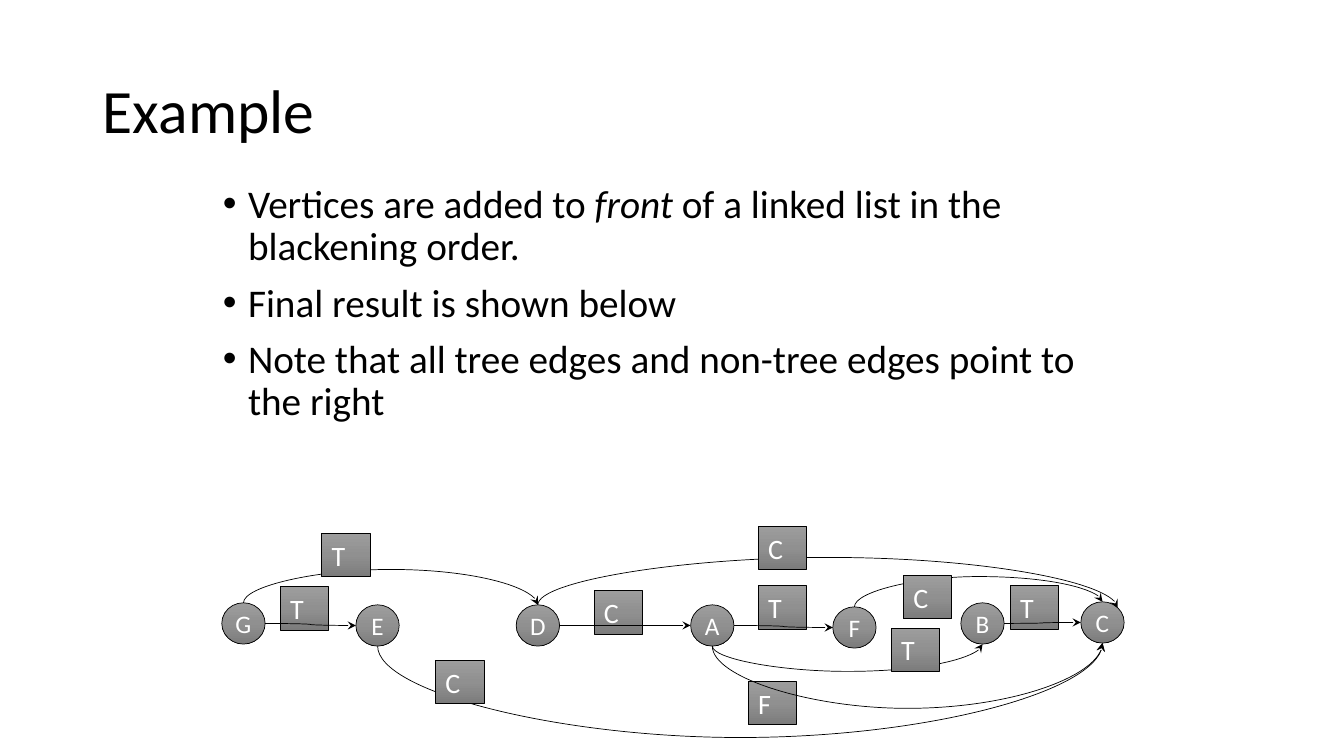
from lxml import etree
from pptx import Presentation
from pptx.dml.color import RGBColor
from pptx.enum.shapes import MSO_CONNECTOR, MSO_SHAPE
from pptx.enum.text import MSO_ANCHOR, MSO_AUTO_SIZE, PP_ALIGN
from pptx.oxml.ns import qn
from pptx.util import Inches, Pt

CURVE = MSO_CONNECTOR.CURVE
OVAL, RECTANGLE = MSO_SHAPE.OVAL, MSO_SHAPE.RECTANGLE
MIDDLE, TOP = MSO_ANCHOR.MIDDLE, MSO_ANCHOR.TOP
LEFT, CENTER = PP_ALIGN.LEFT, PP_ALIGN.CENTER
FIT_SHAPE, NO_FIT = MSO_AUTO_SIZE.SHAPE_TO_FIT_TEXT, MSO_AUTO_SIZE.NONE

COLORS = {"text": "000000", "line": "000000", "node_text": "FFFFFF",
          "light": "9D9D9D", "mid": "909090", "dark": "7C7C7C"}
NODE_W, NODE_H = 0.43, 0.41
LABEL_W, LABEL_H = 0.48, 0.43

# Connection sites of an ellipse: index and offset from its top left corner
SITES = {
    "top": (0, NODE_W / 2, 0),
    "left": (2, 0, NODE_H / 2),
    "bottom": (4, NODE_W / 2, NODE_H),
    "right": (6, NODE_W, NODE_H / 2),
    "top right": (7, NODE_W * 0.85, NODE_H * 0.15),
}

NODES = {"A": (6.85, 6.0), "B": (9.53, 5.98), "C": (10.72, 5.97), "D": (5.12, 6.0),
         "E": (3.53, 6.0), "F": (8.26, 6.02), "G": (2.2, 5.98)}

# Start, start site, end, end site, height of the bend (None: runs level),
# edge type, label position, label in front of the edge
EDGES = [
    ("G", "right", "E", "left", None, "T", (2.78, 5.82), False),
    ("A", "right", "F", "left", None, "T", (7.52, 5.81), False),
    ("B", "right", "C", "left", None, "T", (10.02, 5.81), False),
    ("A", "bottom", "B", "bottom", 6.66, "T", (8.84, 6.23), True),
    ("E", "bottom", "C", "bottom", 7.32, "C", (4.32, 6.55), True),
    ("G", "top", "D", "top", 5.65, "T", (3.19, 5.29), True),
    ("D", "right", "A", "left", None, "C", (5.89, 5.86), False),
    ("A", "bottom", "C", "bottom", 7.03, "F", (7.42, 6.76), False),
    ("D", "top", "C", "top right", 5.53, "C", (7.52, 5.22), True),
    ("F", "top", "C", "top", 5.72, "C", (8.96, 5.71), True),
]

BULLETS = [
    [("Vertices are added to ", False), ("front", True),
     (" of a linked list in the blackening order.", False)],
    [("Final result is shown below", False)],
    [("Note that all tree edges and non-tree edges point to the right", False)],
]


class GraphSlide:
    font = "Calibri"
    line_width = Pt(0.5)

    def __init__(self, slide):
        self.slide = slide
        self.nodes = {}

    def add_run(self, paragraph, text, size, color, italic=False):
        run = paragraph.add_run()
        run.text = text
        run.font.name = self.font
        run.font.size = Pt(size)
        run.font.italic = italic
        run.font.color.rgb = RGBColor.from_string(COLORS[color])

    def place(self, placeholder, left, top, width, height, anchor):
        placeholder.left, placeholder.top = Inches(left), Inches(top)
        placeholder.width, placeholder.height = Inches(width), Inches(height)
        frame = placeholder.text_frame
        frame.auto_size = NO_FIT
        frame.vertical_anchor = anchor
        return frame

    def title(self, text):
        frame = self.place(self.slide.shapes.title, 0.92, 0.4, 11.5, 1.45, MIDDLE)
        paragraph = frame.paragraphs[0]
        paragraph.alignment = LEFT
        paragraph.line_spacing = 0.9
        self.add_run(paragraph, text, 44, "text")

    def bullets(self, items):
        frame = self.place(self.slide.placeholders[1], 2.11, 1.78, 9.25, 4.38, TOP)
        for index, runs in enumerate(items):
            paragraph = frame.add_paragraph() if index else frame.paragraphs[0]
            paragraph.line_spacing = 0.9
            paragraph.space_before = Pt(10)
            properties = paragraph._p.get_or_add_pPr()
            properties.set("marL", str(Inches(0.25)))
            properties.set("indent", str(-Inches(0.25)))
            etree.SubElement(properties, qn("a:buFont"), typeface="Arial")
            etree.SubElement(properties, qn("a:buChar"), char="•")
            for text, italic in runs:
                self.add_run(paragraph, text, 28, "text", italic)

    def shaded_shape(self, kind, position, width, height, text, size):
        left, top = position
        shape = self.slide.shapes.add_shape(
            kind, Inches(left), Inches(top), Inches(width), Inches(height))
        shape.shadow.inherit = False
        shape.fill.gradient()
        gradient = shape._element.spPr.find(qn("a:gradFill"))
        stops = gradient.find(qn("a:gsLst"))
        for stop in list(stops):
            stops.remove(stop)
        for percent, color in ((0, "light"), (50, "mid"), (100, "dark")):
            stop = etree.SubElement(stops, qn("a:gs"), pos=str(percent * 1000))
            etree.SubElement(stop, qn("a:srgbClr"), val=COLORS[color])
        shape.fill.gradient_angle = 270  # counter-clockwise: light at the top
        self.outline(shape)
        self.add_run(shape.text_frame.paragraphs[0], text, size, "node_text")
        return shape

    def outline(self, shape):
        shape.line.color.rgb = RGBColor.from_string(COLORS["line"])
        shape.line.width = self.line_width

    def node(self, name, position):
        node = self.shaded_shape(OVAL, position, NODE_W, NODE_H, name, 18)
        node.text_frame.word_wrap = False
        node.text_frame.vertical_anchor = MIDDLE
        node.text_frame.paragraphs[0].alignment = CENTER
        self.nodes[name] = node

    def edge_label(self, text, position):
        label = self.shaded_shape(RECTANGLE, position, LABEL_W, LABEL_H, text, 20)
        label.text_frame.word_wrap = True
        label.text_frame.auto_size = FIT_SHAPE
        label.text_frame.vertical_anchor = TOP
        label.text_frame.paragraphs[0].alignment = LEFT

    def edge(self, start, start_site, end, end_site, bend):
        points = []
        for name, site in ((start, start_site), (end, end_site)):
            _, dx, dy = SITES[site]
            left, top = NODES[name]
            points += [left + dx, top + dy]
        edge = self.slide.shapes.add_connector(CURVE, *map(Inches, points))
        self.outline(edge)
        etree.SubElement(edge.line._get_or_add_ln(), qn("a:tailEnd"), type="stealth")
        etree.SubElement(edge._element.spPr, qn("a:effectLst"))
        if bend is not None:
            self.bend_edge(edge, points, bend)
        joints = edge._element.nvCxnSpPr.cNvCxnSpPr
        for tag, name, site in (("a:stCxn", start, start_site), ("a:endCxn", end, end_site)):
            etree.SubElement(joints, qn(tag), id=str(self.nodes[name].shape_id),
                             idx=str(SITES[site][0]))

    def bend_edge(self, edge, points, bend):
        """Turn the connector by 90 degrees so that it leaves vertically and turns at bend."""
        x1, y1, x2, y2 = points
        width, height = abs(y2 - y1), x2 - x1
        edge.left = Inches((x1 + x2 - width) / 2)
        edge.top = Inches((y1 + y2 - height) / 2)
        edge.width, edge.height = Inches(width), Inches(height)
        frame = edge._element.spPr.find(qn("a:xfrm"))
        frame.set("rot", str(90 * 60000))
        frame.set("flipH", "1" if y2 < y1 else "0")
        frame.set("flipV", "1")
        guides = edge._element.spPr.find(qn("a:prstGeom")).find(qn("a:avLst"))
        ratio = round((bend - y1) / (y2 - y1) * 100000)
        etree.SubElement(guides, qn("a:gd"), name="adj1", fmla=f"val {ratio}")


def main():
    presentation = Presentation()
    presentation.slide_width, presentation.slide_height = Inches(13.33), Inches(7.5)
    page = GraphSlide(presentation.slides.add_slide(presentation.slide_layouts[1]))
    page.title("Example")
    page.bullets(BULLETS)
    for name, position in NODES.items():
        page.node(name, position)
    for *route, edge_type, position, label_in_front in EDGES:
        if label_in_front:
            page.edge(*route)
        page.edge_label(edge_type, position)
        if not label_in_front:
            page.edge(*route)
    presentation.save("out.pptx")


if __name__ == "__main__":
    main()
